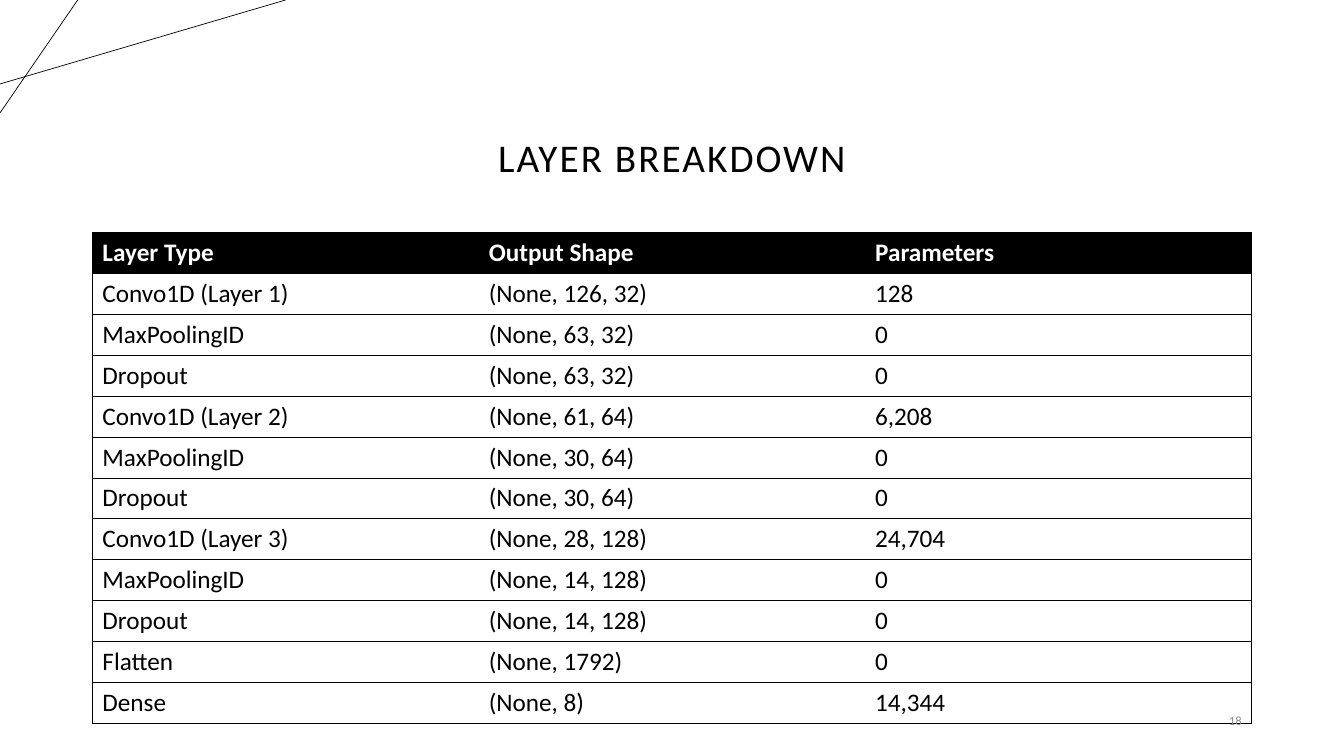
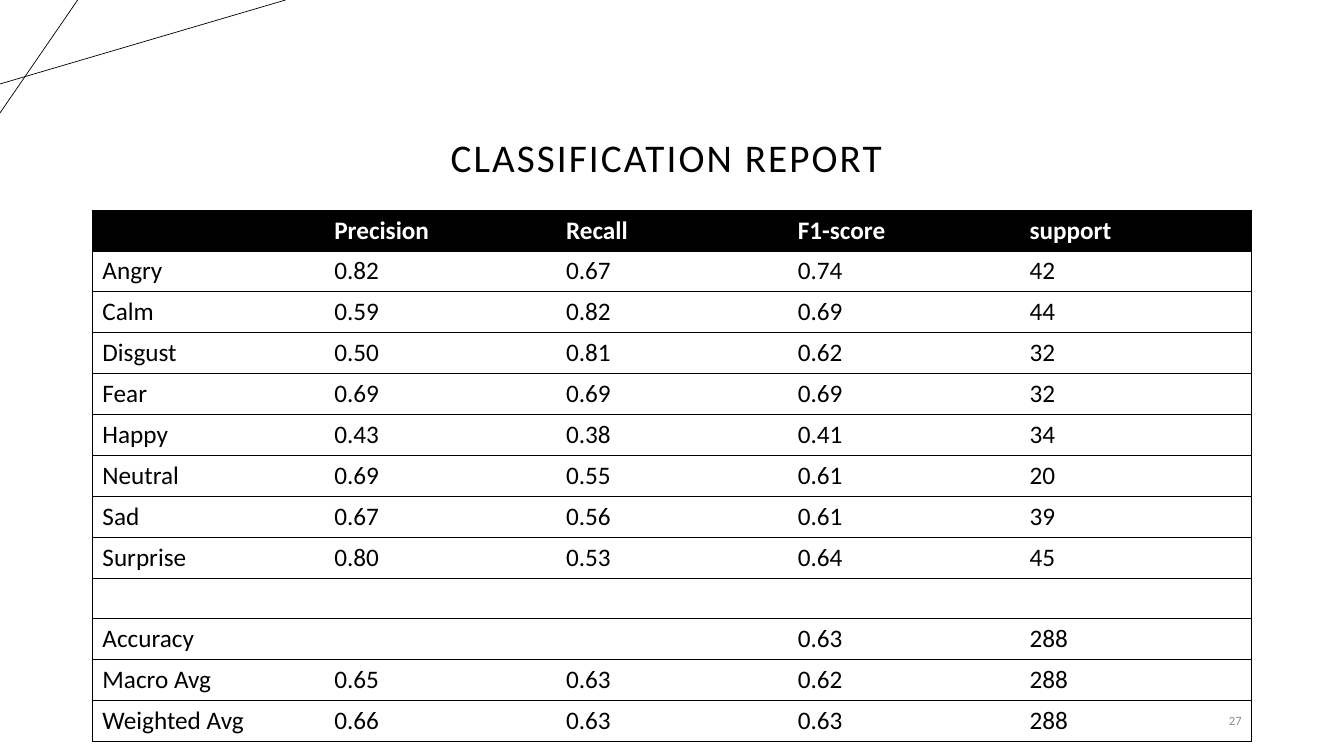
import dataclasses
import typing

import lxml.etree
import pptx
import pptx.dml.color
import pptx.enum.shapes
import pptx.enum.text
import pptx.oxml.ns
import pptx.oxml.xmlchemy
import pptx.presentation
import pptx.slide
import pptx.table
import pptx.text.text
import pptx.util

GRID_COLUMNS, GRID_ROWS = 160, 90
SLIDE_WIDTH, SLIDE_HEIGHT = pptx.util.Inches(13.3333333), pptx.util.Inches(7.5)
ALIGN = pptx.enum.text.PP_ALIGN
ANCHOR = pptx.enum.text.MSO_ANCHOR


@dataclasses.dataclass(frozen=True)
class Theme:
    font: str = "Calibri"
    ink: str = "000000"
    paper: str = "FFFFFF"
    muted: str = "8C8C8C"
    title_size: float = 28
    title_tracking: float = 1.5
    title_line_spacing: float = 0.9
    body_size: float = 18
    number_size: float = 9
    rule_width: float = 0.5


class Box(typing.NamedTuple):
    """A rectangle in grid columns and rows."""
    left: float
    top: float
    width: float
    height: float


class Rule(typing.NamedTuple):
    """A straight line in grid columns and rows."""
    start_column: float
    start_row: float
    end_column: float
    end_row: float


@dataclasses.dataclass(frozen=True)
class TableSlide:
    title: str
    number: int
    table_top: float
    rows: list[tuple[str, ...]]


THEME = Theme()
TITLE_BOX = Box(11, 4.7, 138, 17.4)
NUMBER_BOX = Box(136, 83.4, 13, 4.8)
TABLE_LEFT, TABLE_WIDTH, TABLE_ROW_HEIGHT = 11, 138, 4.87
CORNER_RULES = (Rule(0, 10, 34, 0), Rule(9.25, 0, 0, 13.45))

TABLE_SLIDES = (
    TableSlide("LAYER BREAKDOWN", 18, 27.7, [
        ("Layer Type", "Output Shape", "Parameters"),
        ("Convo1D (Layer 1)", "(None, 126, 32)", "128"),
        ("MaxPoolingID", "(None, 63, 32)", "0"),
        ("Dropout", "(None, 63, 32)", "0"),
        ("Convo1D (Layer 2)", "(None, 61, 64)", "6,208"),
        ("MaxPoolingID", "(None, 30, 64)", "0"),
        ("Dropout", "(None, 30, 64)", "0"),
        ("Convo1D (Layer 3)", "(None, 28, 128)", "24,704"),
        ("MaxPoolingID", "(None, 14, 128)", "0"),
        ("Dropout", "(None, 14, 128)", "0"),
        ("Flatten", "(None, 1792)", "0"),
        ("Dense", "(None, 8)", "14,344"),
    ]),
    TableSlide("CLASSIFICATION REPORT ", 27, 25, [
        ("", "Precision", "Recall", "F1-score", "support"),
        ("Angry", "0.82", "0.67", "0.74", "42"),
        ("Calm", "0.59", "0.82", "0.69", "44"),
        ("Disgust", "0.50", "0.81", "0.62", "32"),
        ("Fear", "0.69", "0.69", "0.69", "32"),
        ("Happy", "0.43", "0.38", "0.41", "34"),
        ("Neutral", "0.69", "0.55", "0.61", "20"),
        ("Sad", "0.67", "0.56", "0.61", "39"),
        ("Surprise", "0.80", "0.53", "0.64", "45"),
        ("", "", "", "", ""),
        ("Accuracy", "", "", "0.63", "288"),
        ("Macro Avg", "0.65", "0.63", "0.62", "288"),
        ("Weighted Avg", "0.66", "0.63", "0.63", "288"),
    ]),
)


def across(columns: float) -> pptx.util.Emu:
    return pptx.util.Emu(round(SLIDE_WIDTH * columns / GRID_COLUMNS))


def down(rows: float) -> pptx.util.Emu:
    return pptx.util.Emu(round(SLIDE_HEIGHT * rows / GRID_ROWS))


def place(box: Box) -> tuple[pptx.util.Emu, ...]:
    return across(box.left), down(box.top), across(box.width), down(box.height)


def rgb(color: str) -> pptx.dml.color.RGBColor:
    return pptx.dml.color.RGBColor.from_string(color)


def write_text(frame: pptx.text.text.TextFrame, text: str, *, size: float,
               color: str = THEME.ink, bold: bool = False,
               align: ALIGN = ALIGN.LEFT, anchor: ANCHOR = ANCHOR.TOP,
               line_spacing: float = 1.0, tracking: float = 0) -> None:
    frame.word_wrap = True
    frame.vertical_anchor = anchor
    paragraph = frame.paragraphs[0]
    paragraph.alignment = align
    paragraph.line_spacing = line_spacing
    if not text:
        paragraph.font.size = pptx.util.Pt(size)
        return
    run = paragraph.add_run()
    run.text = text
    run.font.name = THEME.font
    run.font.size = pptx.util.Pt(size)
    run.font.bold = bold
    run.font.color.rgb = rgb(color)
    if tracking:
        run.font._element.set("spc", str(round(tracking * 100)))


def add_text(slide: pptx.slide.Slide, box: Box, text: str,
             **text_format: typing.Any) -> None:
    write_text(slide.shapes.add_textbox(*place(box)).text_frame, text, **text_format)


def add_rule(slide: pptx.slide.Slide, rule: Rule) -> None:
    connector = slide.shapes.add_connector(
        pptx.enum.shapes.MSO_CONNECTOR.STRAIGHT,
        across(rule.start_column), down(rule.start_row),
        across(rule.end_column), down(rule.end_row))
    connector.line.color.rgb = rgb(THEME.ink)
    connector.line.width = pptx.util.Pt(THEME.rule_width)
    lxml.etree.SubElement(connector._element.spPr, pptx.oxml.ns.qn("a:effectLst"))


def set_borders(cell: pptx.table._Cell, drawn_sides: str) -> None:
    """Rule the named sides (of L, R, T, B) and clear the others; call before filling."""
    qn = pptx.oxml.ns.qn
    properties = cell._tc.get_or_add_tcPr()
    for side in "LRTB":
        line = lxml.etree.SubElement(properties, qn(f"a:ln{side}"))
        line.set("w", str(pptx.util.Pt(THEME.rule_width)))
        if side in drawn_sides:
            fill = lxml.etree.SubElement(line, qn("a:solidFill"))
            lxml.etree.SubElement(fill, qn("a:srgbClr")).set("val", THEME.ink)
        else:
            lxml.etree.SubElement(line, qn("a:noFill"))


def add_ruled_table(slide: pptx.slide.Slide, top: float,
                    rows: list[tuple[str, ...]]) -> None:
    column_count = len(rows[0])
    box = Box(TABLE_LEFT, top, TABLE_WIDTH, TABLE_ROW_HEIGHT * len(rows))
    table = slide.shapes.add_table(len(rows), column_count, *place(box)).table
    table.horz_banding = False
    for row_index, row in enumerate(rows):
        is_header = row_index == 0
        for column_index, text in enumerate(row):
            cell = table.cell(row_index, column_index)
            left = "L" if column_index == 0 else ""
            right = "R" if column_index == column_count - 1 else ""
            set_borders(cell, "TB" + left + right)
            if is_header:
                cell.fill.solid()
                cell.fill.fore_color.rgb = rgb(THEME.ink)
            else:
                cell.fill.background()
            write_text(cell.text_frame, text, size=THEME.body_size, bold=is_header,
                       color=THEME.paper if is_header else THEME.ink)


def add_table_slide(presentation: pptx.presentation.Presentation,
                    content: TableSlide) -> None:
    slide = presentation.slides.add_slide(presentation.slide_layouts[6])
    slide.background.fill.solid()
    slide.background.fill.fore_color.rgb = rgb(THEME.paper)
    for rule in CORNER_RULES:
        add_rule(slide, rule)
    add_text(slide, TITLE_BOX, content.title, size=THEME.title_size,
             align=ALIGN.CENTER, anchor=ANCHOR.BOTTOM,
             line_spacing=THEME.title_line_spacing, tracking=THEME.title_tracking)
    add_ruled_table(slide, content.table_top, content.rows)
    add_text(slide, NUMBER_BOX, str(content.number), size=THEME.number_size,
             color=THEME.muted, align=ALIGN.RIGHT, anchor=ANCHOR.MIDDLE)


def main() -> None:
    presentation = pptx.Presentation()
    presentation.slide_width = SLIDE_WIDTH
    presentation.slide_height = SLIDE_HEIGHT
    for content in TABLE_SLIDES:
        add_table_slide(presentation, content)
    presentation.save("out.pptx")


if __name__ == "__main__":
    main()
